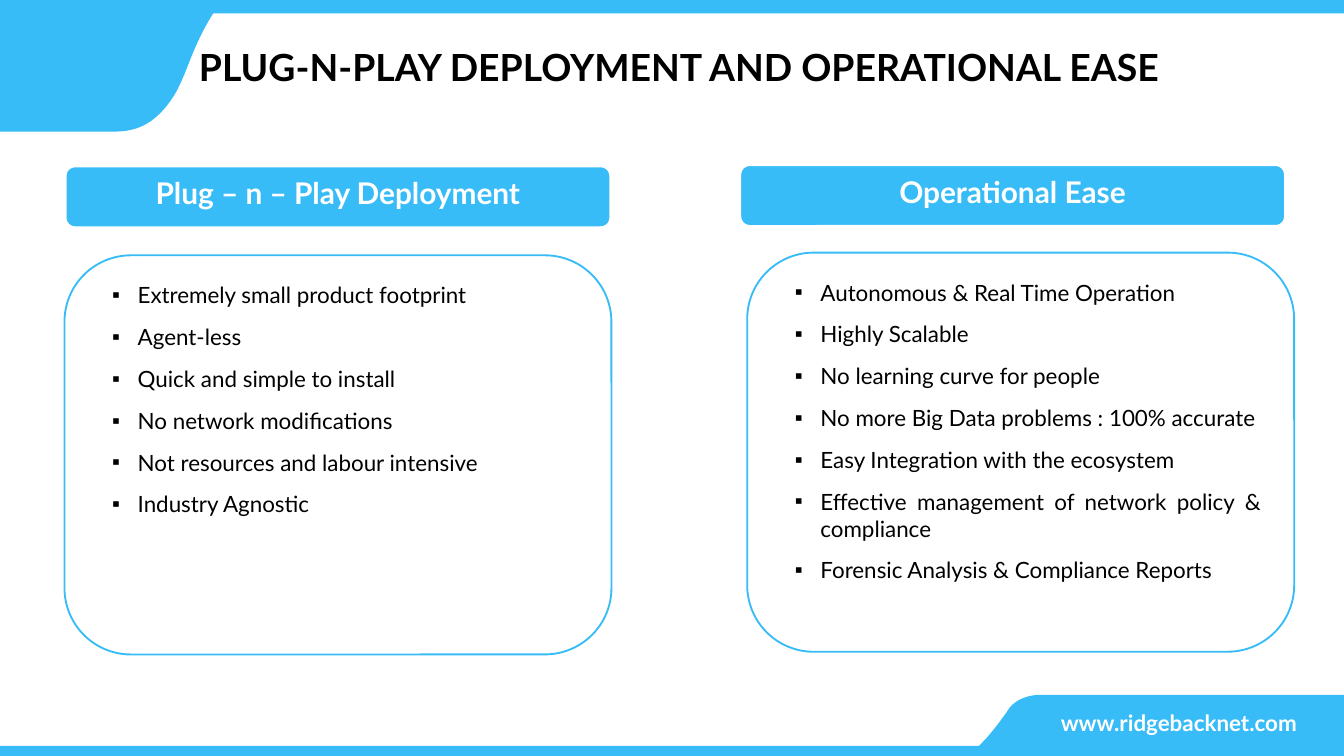
"""Builds the deployment and operational ease slide."""
from lxml import etree
from pptx import Presentation
from pptx.dml.color import RGBColor
from pptx.enum.shapes import MSO_SHAPE
from pptx.enum.text import MSO_ANCHOR, MSO_AUTO_SIZE, PP_ALIGN
from pptx.oxml.ns import qn
from pptx.util import Inches, Pt

RECTANGLE = MSO_SHAPE.RECTANGLE
TOP, MIDDLE, BOTTOM = MSO_ANCHOR.TOP, MSO_ANCHOR.MIDDLE, MSO_ANCHOR.BOTTOM
NO_FIT = MSO_AUTO_SIZE.NONE
LEFT, CENTER = PP_ALIGN.LEFT, PP_ALIGN.CENTER
RIGHT, JUSTIFY = PP_ALIGN.RIGHT, PP_ALIGN.JUSTIFY

COLORS = {"sky": "37BCF7", "white": "FFFFFF", "black": "000000"}
FONT = "Lato"
COMPARISON_LAYOUT = 4
CURVE_STEPS = 16

TITLE = "PLUG-N-PLAY DEPLOYMENT AND OPERATIONAL EASE"
COLUMNS = [
    {
        "heading": "Plug – n – Play Deployment",
        "heading_at": (0.48, 1.23),
        "panel_at": (0.48, 1.9),
        "points": [
            "Extremely small product footprint",
            "Agent-less",
            "Quick and simple to install",
            "No network modifications",
            "Not resources and labour intensive",
            "Industry Agnostic",
        ],
    },
    {
        "heading": "Operational Ease",
        "heading_at": (5.5, 1.22),
        "panel_at": (5.56, 1.88),
        "points": [
            "Autonomous & Real Time Operation",
            "Highly Scalable",
            "No learning curve for people",
            "No more Big Data problems : 100% accurate",
            "Easy Integration with the ecosystem",
            "Effective management of network policy & compliance",
            "Forensic Analysis & Compliance Reports",
        ],
    },
]
TOP_WAVE = [
    [(0, 0.98), (0.84, 0.98)],
    [(0.97, 0.98), (1.12, 0.96), (1.27, 0.75)],
    [(1.4, 0.57), (1.42, 0.31), (1.67, -0.02)],
    [(0, 0)],
]
BOTTOM_WAVE = [
    [(10, 5.17), (7.74, 5.17)],
    [(7.68, 5.17), (7.55, 5.19), (7.49, 5.3)],
    [(7.39, 5.44), (7.31, 5.54), (7.17, 5.65)],
    [(10, 5.65)],
]


def rgb(name):
    """Return the named palette colour."""
    return RGBColor.from_string(COLORS[name])


def curve_points(start, first, second, end):
    """Return points along a cubic curve, without its start."""
    points = []
    for step in range(1, CURVE_STEPS + 1):
        t = step / CURVE_STEPS
        u = 1 - t
        weights = (u**3, 3 * u * u * t, 3 * u * t * t, t**3)
        corners = (start, first, second, end)
        points.append(tuple(sum(w * c[axis] for w, c in zip(weights, corners)) for axis in (0, 1)))
    return points


def paint(shape, fill, line=None, width=0):
    """Give a shape its fill and its outline, if any."""
    shape.fill.solid()
    shape.fill.fore_color.rgb = rgb(fill)
    if line:
        shape.line.color.rgb = rgb(line)
        shape.line.width = Pt(width)
    else:
        shape.line.fill.background()


def add_bar(page, top):
    """Draw a full-width bar."""
    bar = page.shapes.add_shape(RECTANGLE, 0, Inches(top), Inches(10), Inches(0.1))
    bar.shadow.inherit = False
    paint(bar, "sky")


def add_wave(page, segments):
    """Draw a corner shape from straight and curved segments."""
    outline = []
    for segment in segments:
        outline += curve_points(outline[-1], *segment) if len(segment) == 3 else segment
    points = [(Inches(x), Inches(y)) for x, y in outline]
    builder = page.shapes.build_freeform(*points[0])
    builder.add_line_segments(points[1:], close=True)
    wave = builder.convert_to_shape()
    wave.shadow.inherit = False
    paint(wave, "sky")


def place(holder, left, top, width, height):
    """Move a placeholder and bring it to the front."""
    holder.left, holder.top = Inches(left), Inches(top)
    holder.width, holder.height = Inches(width), Inches(height)
    holder.element.getparent().append(holder.element)


def round_corners(holder):
    """Make a placed placeholder a rounded rectangle."""
    geometry = etree.SubElement(holder.element.spPr, qn("a:prstGeom"), prst="roundRect")
    etree.SubElement(geometry, qn("a:avLst"))


def write(box, lines, size, color, align, anchor, bold=False, indent=(0, 0), bullet=None):
    """Write one formatted paragraph for each line."""
    frame = box.text_frame
    frame.word_wrap = True
    frame.auto_size = NO_FIT
    frame.vertical_anchor = anchor
    for number, line in enumerate(lines):
        para = frame.add_paragraph() if number else frame.paragraphs[0]
        properties = para._p.get_or_add_pPr()
        properties.set("marL", str(Inches(indent[0])))
        properties.set("indent", str(Inches(indent[1])))
        if bullet:
            etree.SubElement(properties, qn("a:buChar"), char=bullet)
        para.alignment = align
        para.space_before = Pt(8 if number else 0)
        span = para.add_run()
        span.text = line
        span.font.name = FONT
        span.font.size = Pt(size)
        span.font.bold = bold
        span.font.color.rgb = rgb(color)


def add_title(page):
    """Place and write the slide title."""
    title = page.shapes.title
    place(title, 0.62, 0.24, 8.75, 0.48)
    write(title, [TITLE], 20, "black", LEFT, BOTTOM, bold=True, indent=(0.76, 0))
    title.text_frame.paragraphs[0].line_spacing = 0.9


def add_panel(holder, column):
    """Fill an outlined panel with its bulleted points."""
    place(holder, *column["panel_at"], 4.07, 2.97)
    round_corners(holder)
    paint(holder, "white", "sky", 1)
    write(holder, column["points"], 12, "black", JUSTIFY, TOP, indent=(0.3, -0.19), bullet="▪")


def add_heading(holder, column):
    """Fill a coloured heading band."""
    place(holder, *column["heading_at"], 4.07, 0.47)
    round_corners(holder)
    paint(holder, "sky", "white", 2.25)
    write(holder, [column["heading"]], 16, "white", CENTER, TOP, bold=True, indent=(0.12, -0.19))


def add_address(page):
    """Write the web address in the bottom corner."""
    box = page.shapes.add_textbox(Inches(7.42), Inches(5.23), Inches(2.33), Inches(0.3))
    write(box, ["www.ridgebacknet.com"], 12, "white", RIGHT, MIDDLE, bold=True)


def main():
    """Build and save the deck."""
    deck = Presentation()
    deck.slide_width = Inches(10)
    deck.slide_height = deck.slide_width * 9 // 16
    page = deck.slides.add_slide(deck.slide_layouts[COMPARISON_LAYOUT])
    holders = {holder.placeholder_format.idx: holder for holder in page.placeholders}
    for top in (0, 5.55):
        add_bar(page, top)
    for wave in (TOP_WAVE, BOTTOM_WAVE):
        add_wave(page, wave)
    add_address(page)
    add_title(page)
    for number, column in enumerate(COLUMNS):
        add_panel(holders[2 * number + 2], column)
    for number, column in enumerate(COLUMNS):
        add_heading(holders[2 * number + 1], column)
    deck.save("out.pptx")


if __name__ == "__main__":
    main()
